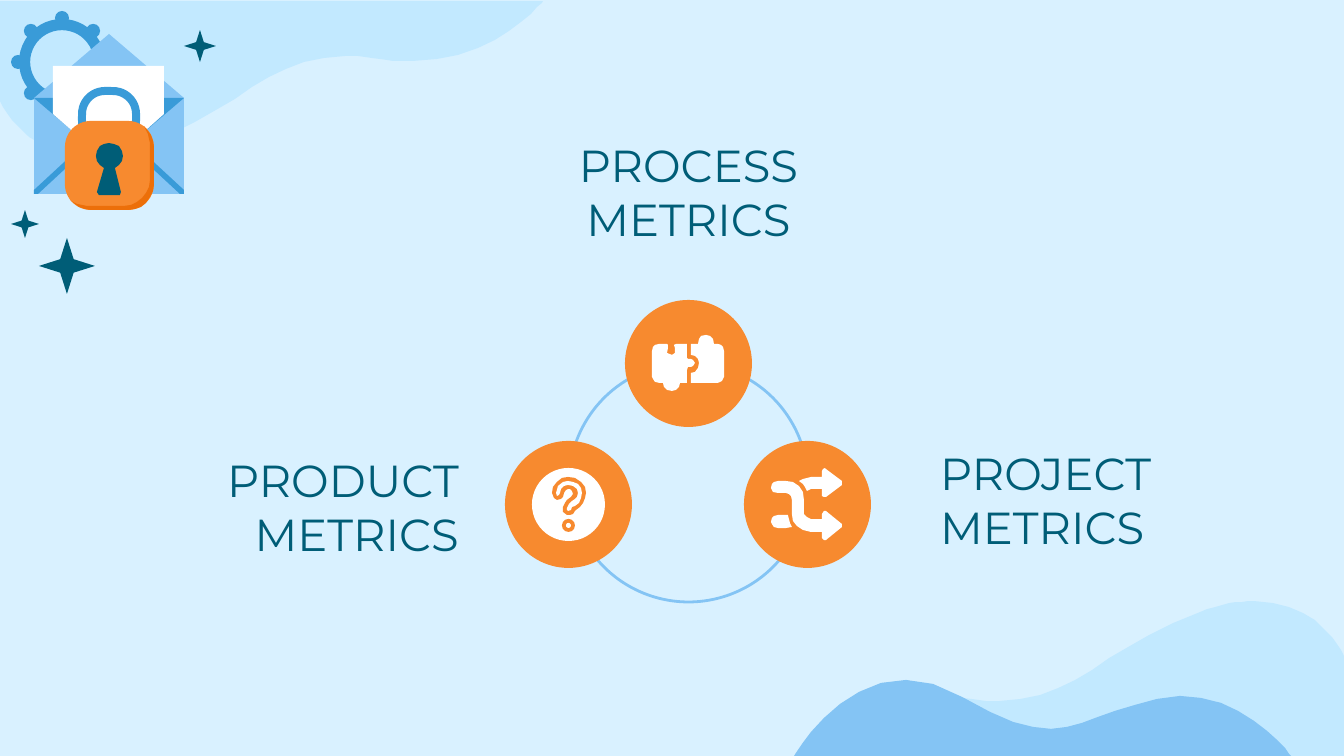
from math import cos, dist, pi, sin

from pptx import Presentation
from pptx.dml.color import RGBColor
from pptx.enum.shapes import MSO_SHAPE
from pptx.enum.text import MSO_ANCHOR, PP_ALIGN
from pptx.util import Emu, Pt

SCALE = 914400 / 134.4  # EMU in one px
WIDTH, HEIGHT = 1344, 756

PALE = RGBColor(0xD9, 0xF1, 0xFF)
MIST = RGBColor(0xC2, 0xE9, 0xFF)
SKY = RGBColor(0x84, 0xC4, 0xF4)
BLUE = RGBColor(0x39, 0x9B, 0xD8)
TEAL = RGBColor(0x00, 0x5D, 0x77)
ORANGE = RGBColor(0xF7, 0x8A, 0x2F)
RUST = RGBColor(0xEC, 0x6F, 0x09)
WHITE = RGBColor(0xFF, 0xFF, 0xFF)

# Outlines, in px from the corner of their box
WAVE = ("M 0 0 L 0 100 C 0 100 23 155 90 155 C 105 155 124 152 144 144 "
        "C 241 109 269 55 345 55 C 356 55 367 55 380 58 "
        "C 391 60 402 60 413 60 C 496 60 543 0 543 0")
HILLS = "M 497 119 C 497 119 442 44 363 62 C 282 79 269 120 168 60 C 67 0 0 119 0 119"
LOCK_SHADE = ("M 79 5 C 82 11 85 16 85 22 L 85 59 C 85 73 73 85 59 85 L 22 85 "
              "C 15 85 9 82 5 79 C 11 85 17 89 26 89 L 63 89 C 77 89 89 78 89 63 "
              "L 89 26 C 89 17 85 11 79 5")
KEYHOLE = ("M 44 22 C 36 22 31 27 31 35 C 31 40 34 44 39 47 L 32 71 L 34 74 "
           "L 55 74 L 56 71 L 50 47 C 55 44 58 40 58 35 C 58 27 51 22 44 22")
PUZZLE_PIECES = (
    "M 34 44 C 30 44 27 47 27 51 L 27 77 C 27 79 30 83 34 83 L 38 83 "
    "C 38 87 42 91 47 91 C 51 91 55 87 55 83 L 62 83 L 62 70 L 63 67 "
    "L 66 67 C 67 67 70 66 70 63 C 70 60 67 59 66 59 L 63 59 L 62 58 "
    "L 62 44 L 51 44 C 50 44 48 46 50 48 C 52 51 50 55 47 55 C 43 55 40 51 43 48 "
    "C 44 46 43 44 42 44",
    "M 81 35 C 75 35 73 39 73 44 L 66 44 L 66 55 C 70 55 74 59 74 63 "
    "C 74 69 70 73 66 73 L 66 83 L 93 83 C 97 83 99 79 99 77 L 99 51 "
    "C 99 47 97 44 93 44 L 89 44 C 89 39 85 35 81 35",
)
SHUFFLE_ARROWS = (
    "M 34 40 C 30 40 27 43 27 47 C 27 50 30 52 34 52 L 42 52 C 46 52 48 55 48 59 "
    "L 48 73 C 48 82 56 91 67 91 L 78 91 L 78 97 L 80 99 L 82 99 "
    "L 98 86 L 98 83 L 82 70 L 80 70 L 78 73 L 78 78 "
    "L 67 78 C 65 78 60 75 60 73 L 60 59 C 60 48 52 40 42 40",
    "M 44 74 L 34 74 C 30 74 27 77 27 81 C 27 83 30 87 34 87 L 42 87 "
    "L 48 86 C 46 82 44 78 44 74",
    "M 81 27 L 79 28 L 78 30 L 78 36 L 67 36 C 63 36 59 38 55 40 "
    "C 59 43 62 46 63 50 L 67 48 L 78 48 L 78 55 L 80 56 "
    "L 82 56 L 98 44 L 98 40 L 82 28",
)
QUESTION_RIM = (
    "M 63 36 C 74 36 81 43 81 52 C 81 59 77 65 71 69 L 70 70 "
    "C 70 73 67 74 65 74 L 62 74 C 59 73 56 70 58 66 C 59 62 62 59 66 56 "
    "C 69 55 69 52 67 50 C 66 48 65 48 63 48 C 62 48 59 50 59 52 C 59 56 56 59 52 59 "
    "C 50 59 47 56 47 52 C 47 44 54 36 63 36")
QUESTION_MARK = (
    "M 63 40 C 58 40 51 44 51 52 L 52 55 L 54 54 L 55 52 "
    "C 55 48 59 44 63 44 C 69 44 73 48 73 52 C 73 56 70 59 67 60 C 65 62 63 65 62 67 "
    "L 62 69 L 63 70 L 66 69 C 66 66 67 65 70 65 C 74 62 77 58 77 52 "
    "C 77 44 70 40 63 40")


def px(length):
    return Emu(round(length * SCALE))


def paint(shape, fill=None, line=None, line_width=0):
    shape.shadow.inherit = False
    if fill is None:
        shape.fill.background()
    else:
        shape.fill.solid()
        shape.fill.fore_color.rgb = fill
    if line is None:
        shape.line.fill.background()
    else:
        shape.line.color.rgb = line
        shape.line.width = line_width
    return shape


def add_preset(slide, kind, left, top, width, height, *colours):
    shape = slide.shapes.add_shape(kind, px(left), px(top), px(width), px(height))
    return paint(shape, *colours)


def add_outline(slide, left, top, contours, fill):
    """Draw closed contours as one shape."""
    placed = [[(left + x, top + y) for x, y in contour] for contour in contours]
    builder = slide.shapes.build_freeform(*placed[0][0], scale=SCALE)
    builder.add_line_segments(placed[0][1:], close=True)
    for contour in placed[1:]:
        builder.move_to(*contour[0])
        builder.add_line_segments(contour[1:], close=True)
    return paint(builder.convert_to_shape(), fill)


def trace(outline):
    """Turn M, L and C commands into points; longer curves get more of them."""
    points = []
    for command in outline.replace("L", "|").replace("C", "|").strip("M ").split("|"):
        numbers = [int(number) for number in command.split()]
        pairs = list(zip(numbers[::2], numbers[1::2]))
        if len(pairs) == 1:
            points += pairs
            continue
        controls = [points[-1], *pairs]
        steps = min(10, 2 + int(dist(controls[0], controls[3]) / 9))
        for step in range(1, steps + 1):
            t = step / steps
            weights = ((1 - t) ** 3, 3 * t * (1 - t) ** 2, 3 * t * t * (1 - t), t ** 3)
            points.append(tuple(sum(weight * control[axis] for weight, control
                                    in zip(weights, controls)) for axis in (0, 1)))
    return points


def add_curves(slide, left, top, outlines, fill):
    return add_outline(slide, left, top, [trace(outline) for outline in outlines], fill)


def add_waves(slide):
    lower_wave = add_curves(slide, WIDTH - 543, HEIGHT - 155, [WAVE], MIST)
    lower_wave.rotation = 180
    add_curves(slide, 0, 1, [WAVE], MIST)
    add_curves(slide, 794, 637, [HILLS], SKY)


def add_gear(slide, left, top, size):
    """A ring with eight round knobs."""
    knob = 14
    ring = size - knob - 2
    inset = (size - ring) / 2
    donut = add_preset(slide, MSO_SHAPE.DONUT, left + inset, top + inset, ring, ring, BLUE)
    donut.adjustments[0] = 0.13
    orbit = (size - knob) / 2
    for index in range(8):
        angle = index * pi / 4
        add_preset(slide, MSO_SHAPE.OVAL, left + orbit * (1 + cos(angle)),
                   top + orbit * (1 + sin(angle)), knob, knob, BLUE)


def add_envelope(slide, left, top, width, height):
    flap, middle = 64, width / 2
    add_preset(slide, MSO_SHAPE.ISOSCELES_TRIANGLE, left, top, width, flap, SKY)
    add_preset(slide, MSO_SHAPE.RECTANGLE, left, top + flap, width, height - flap, SKY)
    pocket = add_preset(slide, MSO_SHAPE.ISOSCELES_TRIANGLE,
                        left, top + flap, width, flap, BLUE)
    pocket.rotation = 180
    paper = [(19, 32), (19, 80), (middle, 129), (130, 80), (130, 32)]
    add_outline(slide, left, top, [paper], WHITE)
    crease = [(83, 94), (79, 98), (146, height), (width, height), (width, height - 4)]
    add_outline(slide, left, top, [crease], BLUE)
    add_outline(slide, left, top, [[(width - x, y) for x, y in crease]], BLUE)


def add_padlock(slide, left, top, size):
    shackle = add_preset(slide, MSO_SHAPE.ROUNDED_RECTANGLE,
                         left + 17, top - 30, 54, 52, None, BLUE, px(8))
    shackle.adjustments[0] = 0.44
    body = add_preset(slide, MSO_SHAPE.ROUNDED_RECTANGLE, left, top, size, size, ORANGE)
    body.adjustments[0] = 0.29
    add_curves(slide, left, top, [LOCK_SHADE], RUST)
    add_curves(slide, left, top, [KEYHOLE], TEAL)


def add_sparkle(slide, left, top, size):
    sparkle = add_preset(slide, MSO_SHAPE.STAR_4_POINT, left, top, size, size, TEAL)
    sparkle.adjustments[0] = 0.17


def add_question_icon(slide, left, top):
    for x, y, size, fill in ((27, 27, 73, WHITE), (57, 78, 13, ORANGE), (61, 82, 5, WHITE)):
        add_preset(slide, MSO_SHAPE.OVAL, left + x, top + y, size, size, fill)
    add_curves(slide, left, top, [QUESTION_RIM], ORANGE)
    add_curves(slide, left, top, [QUESTION_MARK], WHITE)


def add_cycle(slide, left, top):
    """Three icon discs on a ring."""
    disc = 127
    add_preset(slide, MSO_SHAPE.OVAL, left + 64, top + 63, 239, 239, None, SKY, Pt(1.5))
    for x, y in ((120, 0), (239, 141), (0, 141)):
        add_preset(slide, MSO_SHAPE.OVAL, left + x, top + y, disc, disc, ORANGE)
    add_curves(slide, left + 120, top, PUZZLE_PIECES, WHITE)
    add_curves(slide, left + 239, top + 141, SHUFFLE_ARROWS, WHITE)
    add_question_icon(slide, left, top + 141)


def add_label(slide, text, left, top, width, height, alignment):
    frame = slide.shapes.add_textbox(px(left), px(top), px(width), px(height)).text_frame
    frame.word_wrap = True
    frame.vertical_anchor = MSO_ANCHOR.BOTTOM
    frame.margin_top = frame.margin_bottom = Pt(7.2)
    paragraph = frame.paragraphs[0]
    paragraph.text = text
    paragraph.alignment = alignment
    paragraph.font.name = "Montserrat"
    paragraph.font.size = Pt(24)
    paragraph.font.color.rgb = TEAL


def main():
    presentation = Presentation()
    presentation.slide_width, presentation.slide_height = px(WIDTH), px(HEIGHT)
    slide = presentation.slides.add_slide(presentation.slide_layouts[6])
    slide.background.fill.solid()
    slide.background.fill.fore_color.rgb = PALE

    add_waves(slide)

    # Metric labels around the cycle
    add_label(slide, "PROJECT METRICS", 927, 426, 331, 141, PP_ALIGN.LEFT)
    add_label(slide, "PRODUCT METRICS", 141, 446, 331, 128, PP_ALIGN.RIGHT)
    add_label(slide, "PROCESS METRICS", 523, 126, 331, 133, PP_ALIGN.CENTER)
    add_cycle(slide, 505, 300)

    # Secure mail illustration
    add_gear(slide, 11, 11, 102)
    add_envelope(slide, 34, 34, 150, 160)
    add_padlock(slide, 65, 121, 89)
    for left, top, size in ((39, 238, 56), (184, 30, 32), (11, 210, 28)):
        add_sparkle(slide, left, top, size)

    presentation.save("out.pptx")


if __name__ == "__main__":
    main()
